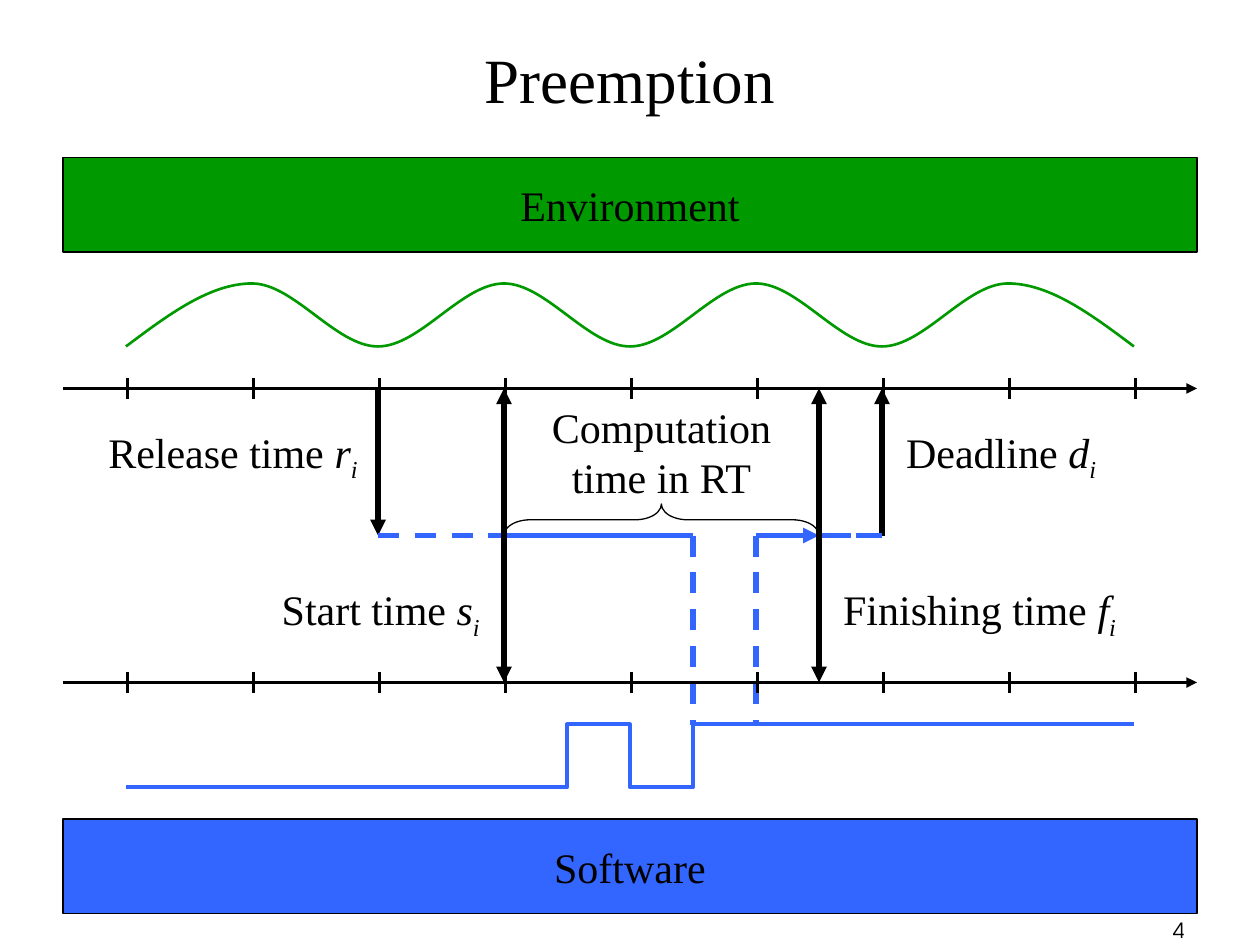
"""Build the slide on preemption between an environment and its software."""
from dataclasses import dataclass

from lxml.etree import SubElement
from pptx import Presentation
from pptx.dml.color import RGBColor
from pptx.enum.dml import MSO_LINE
from pptx.enum.shapes import MSO_CONNECTOR, MSO_SHAPE
from pptx.enum.text import MSO_ANCHOR, MSO_AUTO_SIZE, PP_ALIGN
from pptx.oxml.ns import qn
from pptx.util import Emu, Pt

PX = 9525
SECOND = 96


@dataclass(frozen=True)
class Theme:
    ink: RGBColor = RGBColor(0, 0, 0)
    environment: RGBColor = RGBColor(0, 0x99, 0)
    software: RGBColor = RGBColor(0x33, 0x66, 0xFF)
    serif: str = "Times New Roman"
    sans: str = "TeX Gyre Adventor"
    title: int = 36
    body: int = 24
    number: int = 12


THEME = Theme()


def px(*lengths):
    return [Emu(length * PX) for length in lengths]


def style_font(font, size=THEME.body, name=THEME.serif):
    font.size = Pt(size)
    font.name = name
    font.color.rgb = THEME.ink


def style_outline(shape, color, width):
    shape.shadow.inherit = False
    shape.fill.background()
    shape.line.color.rgb = color
    shape.line.width = Pt(width)


def add_title(slide, text):
    title = slide.shapes.title
    title.left, title.top, title.width, title.height = px(72, 0, 816, 120)
    title.text_frame.text = text
    title.text_frame.vertical_anchor = MSO_ANCHOR.MIDDLE
    paragraph = title.text_frame.paragraphs[0]
    paragraph.alignment = PP_ALIGN.CENTER
    style_font(paragraph.runs[0].font, THEME.title)


def add_band(slide, top, text, color):
    band = slide.shapes.add_shape(MSO_SHAPE.RECTANGLE, *px(48, top, 864, 72))
    style_outline(band, THEME.ink, 0.75)
    band.fill.solid()
    band.fill.fore_color.rgb = color
    band.text_frame.text = text
    band.text_frame.vertical_anchor = MSO_ANCHOR.MIDDLE
    paragraph = band.text_frame.paragraphs[0]
    paragraph.alignment = PP_ALIGN.CENTER
    style_font(paragraph.runs[0].font)


def add_line(shapes, start, end, color=THEME.ink, width=3, dashed=False, heads=()):
    line = shapes.add_connector(MSO_CONNECTOR.STRAIGHT, *px(*start, *end))
    line.line.color.rgb = color
    line.line.width = Pt(width)
    if dashed:
        line.line.dash_style = MSO_LINE.DASH
    outline = line.line._get_or_add_ln()
    for head in heads:
        SubElement(outline, qn(f"a:{head}"), type="triangle")
    SubElement(line._element.spPr, qn("a:effectLst"))


def add_axis(slide, y):
    axis = slide.shapes.add_group_shape()
    add_line(axis.shapes, (48, y), (912, y), width=2, heads=["tailEnd"])
    for second in range(1, 10):
        x = second * SECOND + 1
        add_line(axis.shapes, (x, y - 8), (x, y + 8), width=1.5)


def add_path(slide, points, color, width):
    builder = slide.shapes.build_freeform(*points[0], scale=PX)
    builder.add_line_segments(points[1:], close=False)
    path = builder.convert_to_shape()
    style_outline(path, color, width)
    return path


def add_wave(slide, bottom, top):
    """Draw the environment signal, flat at each inner peak and trough."""
    levels = [bottom, top] * 4 + [bottom]
    points = [(SECOND * n, y) for n, y in enumerate(levels, 1)]
    wave = add_path(slide, points, THEME.environment, 1.5)
    middle = (bottom + top) // 2
    handles = list(zip(levels, levels[1:]))
    handles[0] = (middle, top)
    handles[-1] = (top, middle)
    segments = list(wave._element.iter(qn("a:lnTo")))
    for n, (segment, ys) in enumerate(zip(segments, handles)):
        segment.tag = qn("a:cubicBezTo")
        for place, y in enumerate(ys):
            x = n * SECOND + (place + 1) * SECOND // 3
            control = SubElement(segment, qn("a:pt"), x=str(x), y=str(y - top))
            segment.insert(place, control)


def add_brace(slide):
    brace = slide.shapes.add_shape(MSO_SHAPE.RIGHT_BRACE, *px(492, 276, 24, 240))
    brace.rotation = 270
    brace.adjustments[0] = 0.83
    style_outline(brace, THEME.ink, 0.75)


def add_text(slide, box, lines, align, size=THEME.body, name=THEME.serif):
    frame = slide.shapes.add_textbox(*px(*box)).text_frame
    frame.word_wrap = False
    frame.auto_size = MSO_AUTO_SIZE.SHAPE_TO_FIT_TEXT
    frame.text = "\n".join(lines)
    for paragraph in frame.paragraphs:
        paragraph.alignment = align
        style_font(paragraph.runs[0].font, size, name)
    return frame


def add_time_label(slide, box, text, symbol, align):
    paragraph = add_text(slide, box, [text], align).paragraphs[0]
    for letter in (symbol, "i"):
        run = paragraph.add_run()
        run.text = letter
        style_font(run.font)
        run.font.italic = True
    run._r.get_or_add_rPr().set("baseline", "-25000")


def main():
    deck = Presentation()
    deck.slide_width, deck.slide_height = px(960, 720)
    slide = deck.slides.add_slide(deck.slide_layouts[5])
    shapes = slide.shapes
    environment_axis, task, software_axis, signal_high, signal_low = 296, 408, 520, 552, 600
    release, start, preempted, resumed, finish, deadline = 288, 384, 528, 576, 624, 672
    blue = THEME.software

    add_title(slide, "Preemption")
    add_axis(slide, environment_axis)
    add_band(slide, 120, "Environment", THEME.environment)
    add_band(slide, 624, "Software", blue)
    add_wave(slide, 264, 216)

    add_line(shapes, (release, environment_axis), (release, task), heads=["tailEnd"])
    add_line(shapes, (deadline, task), (deadline, environment_axis), heads=["tailEnd"])
    add_line(shapes, (resumed, task), (finish, task), blue, heads=["tailEnd"])
    add_line(shapes, (start, task), (preempted, task), blue)
    add_path(slide, [(96, signal_low), (432, signal_low), (432, signal_high),
                     (480, signal_high), (480, signal_low), (preempted, signal_low),
                     (preempted, signal_high), (864, signal_high)], blue, 2.25)
    for x in (preempted, resumed):
        add_line(shapes, (x, task), (x, signal_high), blue, dashed=True)
    for begin, end in ((finish, deadline), (release, start), (resumed, deadline)):
        add_line(shapes, (begin, task), (end, task), blue, dashed=True)

    for box, text, symbol, align in (
        ((73, 320, 209, 54), "Release time ", "r", PP_ALIGN.RIGHT),
        ((681, 320, 166, 54), "Deadline ", "d", PP_ALIGN.LEFT),
        ((633, 440, 227, 54), "Finishing time ", "f", PP_ALIGN.LEFT),
        ((205, 440, 170, 54), "Start time ", "s", PP_ALIGN.RIGHT),
    ):
        add_time_label(slide, box, text, symbol, align)

    add_axis(slide, software_axis)
    add_brace(slide)
    add_text(slide, (411, 301, 186, 86), ["Computation", "time in RT"], PP_ALIGN.CENTER)
    for x in (start, finish):
        add_line(shapes, (x, software_axis), (x, environment_axis), heads=["headEnd", "tailEnd"])
    page = add_text(slide, (712, 694, 200, 24), ["4"], PP_ALIGN.RIGHT, THEME.number, THEME.sans)
    page.auto_size = MSO_AUTO_SIZE.NONE
    page.word_wrap = True
    deck.save("out.pptx")


if __name__ == "__main__":
    main()
